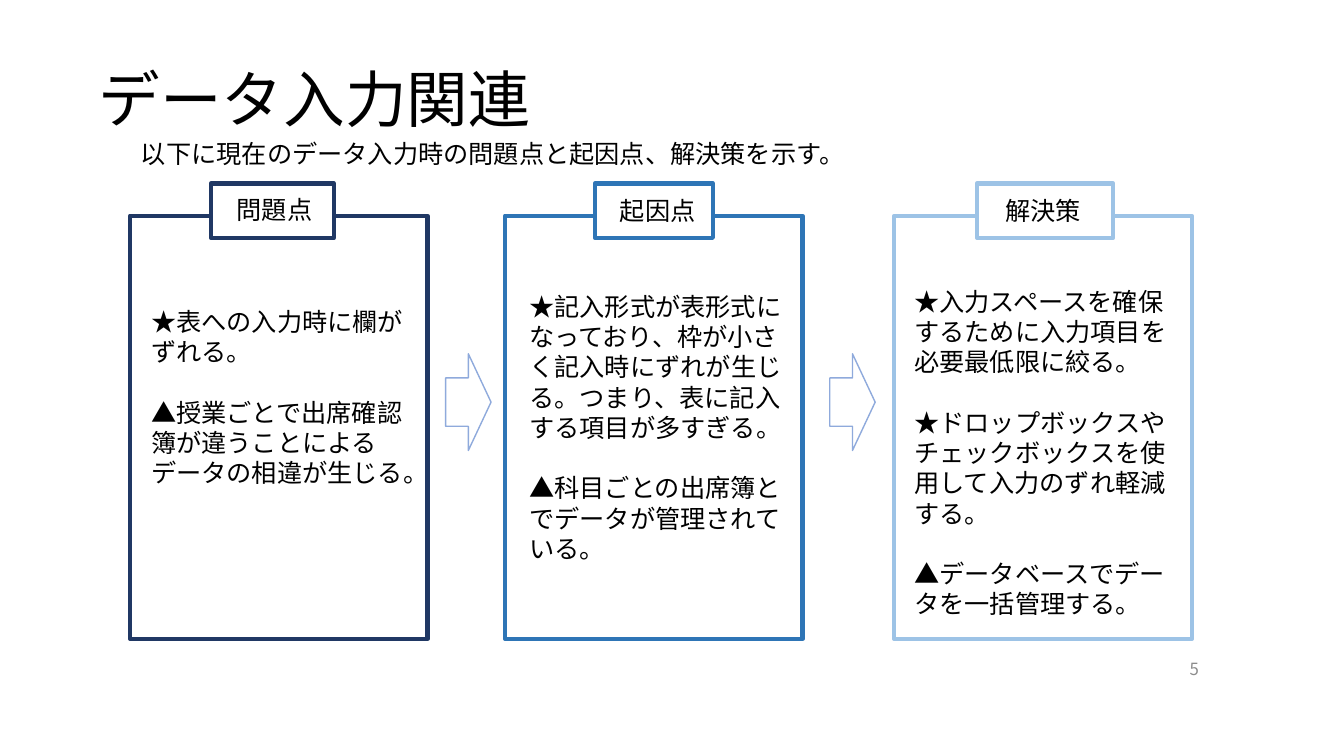
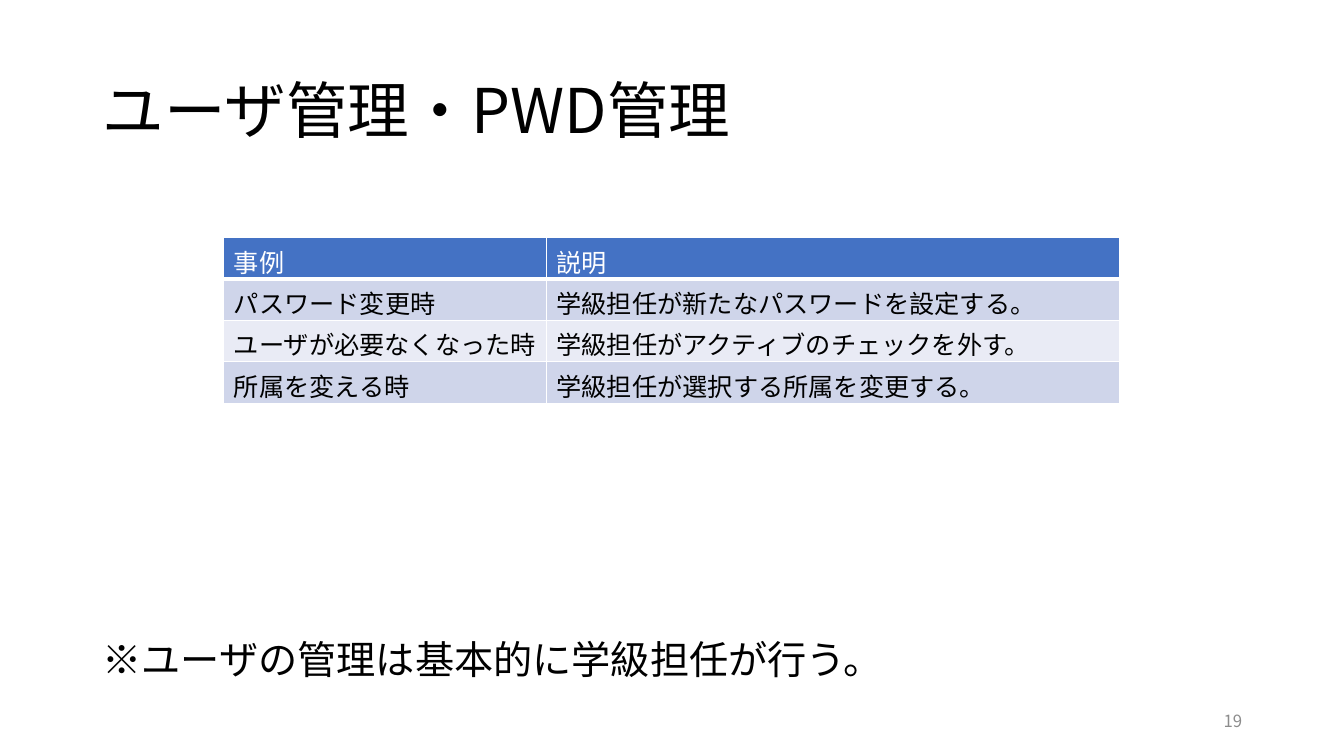
from lxml.etree import SubElement
from pptx import Presentation
from pptx.dml.color import RGBColor
from pptx.enum.shapes import MSO_SHAPE
from pptx.enum.text import MSO_ANCHOR, PP_ALIGN
from pptx.oxml import parse_xml
from pptx.oxml.ns import nsdecls, qn
from pptx.util import Pt

FONT = "Noto Sans CJK JP"
BLACK, WHITE, GREY = "000000", "FFFFFF", "8C8C8C"
ARROW_LINE, HEADER_FILL = "8FAADC", "4472C4"
ROW_FILLS = ["CFD5EA", "E9EBF5"]
PX = 9144
BODY_SIZE, BODY_LINE = 18, 21.6

FLOW_TITLE = "データ入力関連"
FLOW_LEAD = "以下に現在のデータ入力時の問題点と起因点、解決策を示す。"
PANEL_TOP, PANEL_WIDTH, PANEL_HEIGHT = 214, 295, 420
BADGE_TOP, BADGE_HEIGHT = 182, 54
PANELS = [
    {"color": "203864", "left": 129, "badge": (209, 122),
     "label": "問題点", "label_box": (225, 188, 110, 40),
     "body_box": (140, 299, 275, 192),
     "body": ["★表への入力時に欄がずれる。",
              "▲授業ごとで出席確認簿が違うことによるデータの相違が生じる。"]},
    {"color": "2E75B6", "left": 501, "badge": (590, 117),
     "label": "起因点", "label_box": (605, 189, 99, 40),
     "body_box": (515, 284, 275, 283),
     "body": ["★記入形式が表形式になっており、枠が小さく記入時にずれが生じる。"
              "つまり、表に記入する項目が多すぎる。",
              "▲科目ごとの出席簿とでデータが管理されている。"]},
    {"color": "9DC3E6", "left": 887, "badge": (969, 135),
     "label": "解決策", "label_box": (987, 189, 103, 40),
     "body_box": (897, 279, 275, 313),
     "body": ["★入力スペースを確保するために入力項目を必要最低限に絞る。",
              "★ドロップボックスやチェックボックスを使用して入力のずれ軽減する。",
              "▲データベースでデータを一括管理する。"]},
]
ARROW_LEFTS = [442, 823]

USER_TITLE = "ユーザ管理・PWD管理"
USER_NOTE = "※ユーザの管理は基本的に学級担任が行う。"
USER_ROWS = [
    ("事例", "説明"),
    ("パスワード変更時", "学級担任が新たなパスワードを設定する。"),
    ("ユーザが必要なくなった時", "学級担任がアクティブのチェックを外す。"),
    ("所属を変える時", "学級担任が選択する所属を変更する。"),
]
COLUMN_WIDTHS = [320, 568]
ROW_HEIGHT = 41


def rgb(color):
    return RGBColor.from_string(color)


def emu(lengths):
    return [length * PX for length in lengths]


def add_span(para, text, size=BODY_SIZE, color=BLACK):
    span = para.add_run()
    span.text = text
    span.font.size = Pt(size)
    span.font.bold = False
    span.font.name = FONT
    span.font.color.rgb = rgb(color)
    SubElement(span.font._element, qn("a:ea")).set("typeface", FONT)


def add_text(page, bounds, texts, size=BODY_SIZE, color=BLACK, anchor=MSO_ANCHOR.TOP,
             align=PP_ALIGN.LEFT, spacing=None, before=0, gap=0):
    frame = page.shapes.add_textbox(*emu(bounds)).text_frame
    frame.word_wrap = True
    frame.vertical_anchor = anchor
    for index, text in enumerate(texts):
        para = frame.add_paragraph() if index else frame.paragraphs[0]
        para.alignment = align
        para.line_spacing = spacing
        para.space_before = Pt(gap if index else before)
        add_span(para, text, size, color)


def add_title(page, bounds, text):
    add_text(page, bounds, [text], size=44, anchor=MSO_ANCHOR.MIDDLE, spacing=0.9)


def add_page_number(page, bounds, number):
    add_text(page, bounds, [number], size=12, color=GREY,
             anchor=MSO_ANCHOR.MIDDLE, align=PP_ALIGN.RIGHT)


def add_outline(page, kind, bounds, line, width, fill=None):
    shape = page.shapes.add_shape(kind, *emu(bounds))
    shape.shadow.inherit = False
    if fill:
        shape.fill.solid()
        shape.fill.fore_color.rgb = rgb(fill)
    else:
        shape.fill.background()
    shape.line.color.rgb = rgb(line)
    shape.line.width = Pt(width)


def set_borders(cell, widths):
    properties = cell._tc.get_or_add_tcPr()
    for index, (side, width) in enumerate(zip("LRTB", widths)):
        properties.insert(index, parse_xml(
            f'<a:ln{side} {nsdecls("a")} w="{Pt(width)}"><a:solidFill>'
            f'<a:srgbClr val="{WHITE}"/></a:solidFill></a:ln{side}>'))


def add_user_table(page, left, top):
    bounds = (left, top, sum(COLUMN_WIDTHS), ROW_HEIGHT * len(USER_ROWS))
    table = page.shapes.add_table(len(USER_ROWS), len(COLUMN_WIDTHS), *emu(bounds)).table
    for column, width in zip(table.columns, COLUMN_WIDTHS):
        column.width = width * PX
    for row, texts in enumerate(USER_ROWS):
        header = row == 0
        fill = HEADER_FILL if header else ROW_FILLS[(row - 1) % 2]
        top_width, bottom_width = 3 if row == 1 else 1, 3 if header else 1
        for column, text in enumerate(texts):
            cell = table.cell(row, column)
            cell.fill.solid()
            cell.fill.fore_color.rgb = rgb(fill)
            set_borders(cell, (1, 1, top_width, bottom_width))
            add_span(cell.text_frame.paragraphs[0], text, color=WHITE if header else BLACK)


def build_flow_page(page):
    for panel in PANELS:
        badge_left, badge_width = panel["badge"]
        boxes = [(panel["left"], PANEL_TOP, PANEL_WIDTH, PANEL_HEIGHT),
                 (badge_left, BADGE_TOP, badge_width, BADGE_HEIGHT)]
        for bounds in boxes:
            add_outline(page, MSO_SHAPE.RECTANGLE, bounds, panel["color"], 3, WHITE)
        add_text(page, panel["label_box"], [panel["label"]])
        add_text(page, panel["body_box"], panel["body"], gap=BODY_LINE)
    for left in ARROW_LEFTS:
        add_outline(page, MSO_SHAPE.RIGHT_ARROW, (left, 351, 45, 96), ARROW_LINE, 1)
    add_title(page, (88, 29, 544, 145), FLOW_TITLE)
    add_page_number(page, (1124, 644, 75, 39), "5")
    add_text(page, (130, 132, 819, 40), [FLOW_LEAD])


def build_user_page(page):
    add_title(page, (92, 40, 1150, 145), USER_TITLE)
    add_page_number(page, (942, 695, 300, 40), "19")
    add_user_table(page, 222, 236)
    add_text(page, (92, 631, 1150, 64), [USER_NOTE], size=28, spacing=0.9, before=10)


def main():
    deck = Presentation()
    deck.slide_width, deck.slide_height = emu((1333, 750))
    for build in (build_flow_page, build_user_page):
        build(deck.slides.add_slide(deck.slide_layouts[6]))
    deck.save("out.pptx")


if __name__ == "__main__":
    main()
